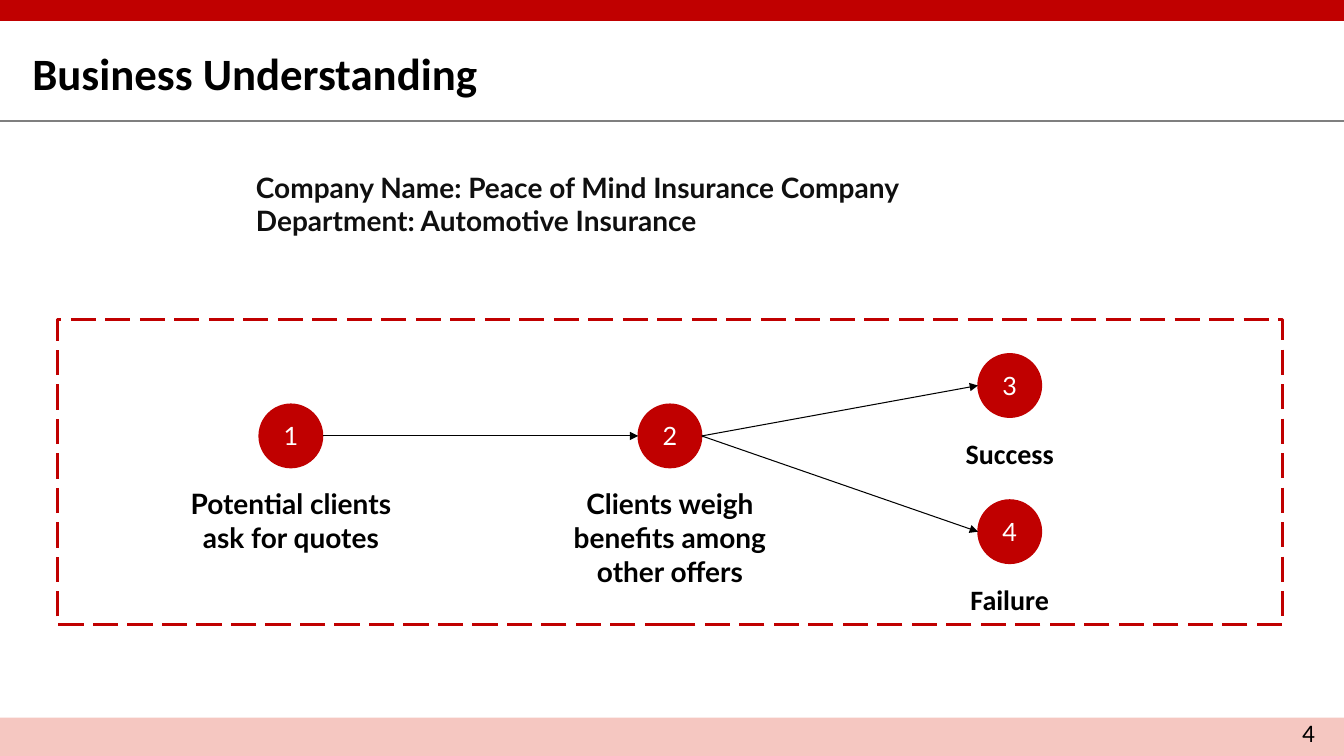
from pptx import Presentation
from pptx.dml.color import RGBColor
from pptx.enum.dml import MSO_LINE
from pptx.enum.shapes import MSO_CONNECTOR, MSO_SHAPE
from pptx.enum.text import MSO_ANCHOR, PP_ALIGN
from pptx.oxml.ns import qn
from pptx.util import Inches, Pt
from lxml.etree import SubElement

RED = RGBColor(0xC0, 0x00, 0x00)
PINK = RGBColor(0xF5, 0xC7, 0xC1)
GREY = RGBColor(0x7F, 0x7F, 0x7F)
INK = RGBColor(0x0F, 0x0F, 0x0F)
BLACK = RGBColor(0x00, 0x00, 0x00)
WHITE = RGBColor(0xFF, 0xFF, 0xFF)

TITLE = "Business Understanding"
COMPANY = ["Company Name: Peace of Mind Insurance Company",
           "Department: Automotive Insurance"]
PAGE_NUMBER = "4"

# number: (label, label font, label height, circle left, circle top)
STEPS = {
    1: ("Potential clients ask for quotes", "Lato", 0.77, 2.57, 4.01),
    2: ("Clients weigh benefits among other offers", "Lato", 1.11, 6.33, 4.01),
    3: ("Success", "Calibri", 0.44, 9.7, 3.51),
    4: ("Failure", "Calibri", 0.44, 9.7, 4.96),
}
ARROWS = [(1, 2), (2, 3), (2, 4)]

SLIDE_W, SLIDE_H = 13.33, 7.5
CIRCLE = 0.63
LABEL_W = 2.57
LABEL_DROP = 0.78 - 0.01  # from circle top to label top, less the overlap
FOOTER_TOP = 7.12


def write(shape, lines, size=20, font="Lato", color=BLACK, bold=False,
          align=PP_ALIGN.LEFT, anchor=MSO_ANCHOR.TOP, spacing=None):
    frame = shape.text_frame
    frame.word_wrap = True
    frame.vertical_anchor = anchor
    frame.text = "\n".join(lines)
    for paragraph in frame.paragraphs:
        paragraph.alignment = align
        paragraph.line_spacing = spacing
        paragraph.font.size = Pt(size)
        paragraph.font.name = font
        paragraph.font.bold = bold
        paragraph.font.color.rgb = color


def add_box(left, top, width, height, kind=MSO_SHAPE.RECTANGLE,
            fill=None, line=None, line_width=1):
    box = shapes.add_shape(kind, Inches(left), Inches(top),
                           Inches(width), Inches(height))
    box.shadow.inherit = False
    if fill is None:
        box.fill.background()
    else:
        box.fill.solid()
        box.fill.fore_color.rgb = fill
    if line is None:
        box.line.fill.background()
    else:
        box.line.color.rgb = line
        box.line.width = Pt(line_width)
    return box


def add_line(start, end, color, width, arrow=False):
    line = shapes.add_connector(MSO_CONNECTOR.STRAIGHT, *start, *end)
    line.line.color.rgb = color
    line.line.width = Pt(width)
    properties = line.line._get_or_add_ln()
    if arrow:
        SubElement(properties, qn("a:tailEnd"), type="triangle")
    SubElement(properties.getparent(), qn("a:effectLst"))


def add_text(left, top, width, height, lines, **text_format):
    box = shapes.add_textbox(Inches(left), Inches(top),
                             Inches(width), Inches(height))
    write(box, lines, **text_format)


prs = Presentation()
prs.slide_width, prs.slide_height = Inches(SLIDE_W), Inches(SLIDE_H)
slide = prs.slides.add_slide(prs.slide_layouts[5])
shapes = slide.shapes

# Page bands, rule and number
add_box(0, 0, SLIDE_W, 0.2, fill=RED, line=RED)
add_line((0, Inches(1.2)), (Inches(SLIDE_W), Inches(1.2)), GREY, 1.5)
add_box(0, FOOTER_TOP, SLIDE_W, SLIDE_H - FOOTER_TOP, fill=PINK)
add_text(10.14, 7.07, 3, 0.4, [PAGE_NUMBER], size=18, font="Calibri",
         align=PP_ALIGN.RIGHT)

# Headings
title = shapes.title
title.left, title.top = Inches(0.22), Inches(0.29)
title.width, title.height = Inches(9.57), Inches(0.92)
write(title, [TITLE], size=32, font="Calibri", bold=True,
      anchor=MSO_ANCHOR.MIDDLE, spacing=0.9)
add_text(2.44, 1.64, 9.17, 0.77, COMPANY, color=INK, bold=True)

# Process
process_frame = add_box(0.57, 3.17, 12.15, 3.03, line=RED, line_width=2.25)
process_frame.line.dash_style = MSO_LINE.LONG_DASH

circles = {}
for number, (label, font, label_h, left, top) in STEPS.items():
    circle = add_box(left, top, CIRCLE, CIRCLE, MSO_SHAPE.OVAL, RED, RED)
    write(circle, [str(number)], size=18, color=WHITE,
          align=PP_ALIGN.CENTER, anchor=MSO_ANCHOR.MIDDLE)
    circles[number] = circle
    caption = add_box(left + (CIRCLE - LABEL_W) / 2, top + LABEL_DROP,
                      LABEL_W, label_h, fill=WHITE)
    write(caption, [label], font=font, bold=True, align=PP_ALIGN.CENTER)

for source, target in ARROWS:
    begin, end = circles[source], circles[target]
    add_line((begin.left + begin.width, begin.top + begin.height // 2),
             (end.left, end.top + end.height // 2), BLACK, 0.75, arrow=True)

prs.save("out.pptx")
